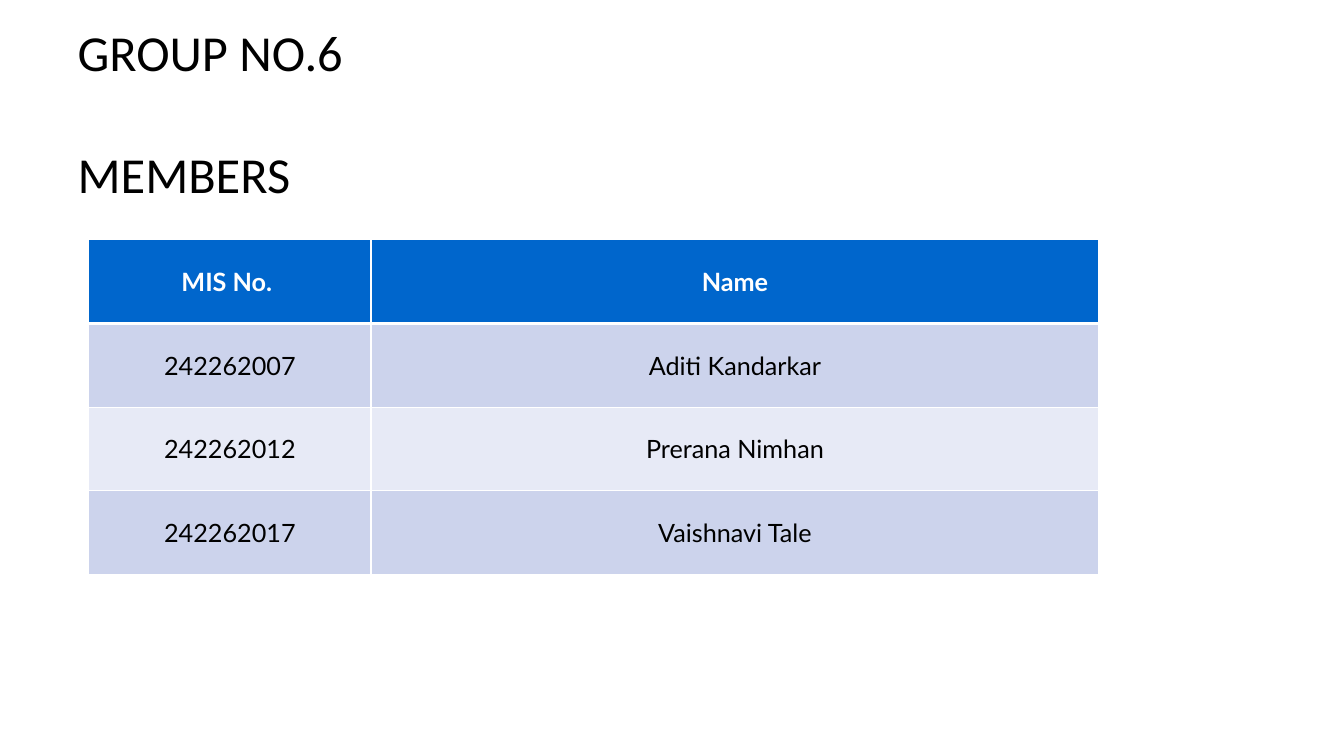
from lxml import etree
from pptx import Presentation
from pptx.dml.color import RGBColor
from pptx.enum.text import MSO_ANCHOR, MSO_AUTO_SIZE, PP_ALIGN
from pptx.oxml.ns import qn
from pptx.util import Pt

PX = 9144  # EMU per px, 100 px to the inch
LEFT, CENTER = PP_ALIGN.LEFT, PP_ALIGN.CENTER
MIDDLE = MSO_ANCHOR.MIDDLE
NO_AUTOFIT = MSO_AUTO_SIZE.NONE

BLACK = RGBColor(0x00, 0x00, 0x00)
WHITE = RGBColor(0xFF, 0xFF, 0xFF)
HEADER_BLUE = RGBColor(0x00, 0x66, 0xCC)
BAND_DARK = RGBColor(0xCC, 0xD3, 0xEC)
BAND_LIGHT = RGBColor(0xE7, 0xEA, 0xF6)

HEADING_LINES = ["GROUP NO.6", "MEMBERS"]
MEMBERS = [
    ("MIS No. ", "Name"),
    ("242262007", "Aditi Kandarkar"),
    ("242262012", "Prerana Nimhan"),
    ("242262017", "Vaishnavi Tale"),
]
COLUMN_WIDTHS = [280, 722]
ROW_HEIGHT = 83


def format_font(font, **values):
    color = values.pop("color")
    for name, value in values.items():
        setattr(font, name, value)
    font.color.rgb = color


def add_border(cell, side, points):
    # Borders go ahead of the fill, in the order they are added
    properties = cell._tc.get_or_add_tcPr()
    line = etree.SubElement(properties, qn(f"a:{side}"), w=str(Pt(points)))
    fill = etree.SubElement(line, qn("a:solidFill"))
    etree.SubElement(fill, qn("a:srgbClr"), val=str(WHITE))


prs = Presentation()
prs.slide_width, prs.slide_height = 1333 * PX, 750 * PX
slide = prs.slides.add_slide(prs.slide_layouts[5])

# Heading
heading = slide.shapes.title
heading.left, heading.top = 67 * PX, 79 * PX
heading.width, heading.height = 1200 * PX, 64 * PX
heading_text = heading.text_frame
heading_text.text = "\n".join(HEADING_LINES)
heading_text.auto_size = NO_AUTOFIT
heading_text.vertical_anchor = MIDDLE
for paragraph in heading_text.paragraphs:
    paragraph.alignment = LEFT
    paragraph.space_before = Pt(0)
    format_font(paragraph.runs[0].font, name="Calibri", size=Pt(36), color=BLACK)
heading_text.paragraphs[1].space_before = Pt(44)

# Members table
members = slide.shapes.add_table(
    len(MEMBERS), len(COLUMN_WIDTHS), 88 * PX, 238 * PX,
    sum(COLUMN_WIDTHS) * PX, len(MEMBERS) * ROW_HEIGHT * PX,
).table
for column, width in zip(members.columns, COLUMN_WIDTHS):
    column.width = width * PX

for row, entries in enumerate(MEMBERS):
    is_header = row == 0
    band = HEADER_BLUE if is_header else BAND_DARK if row % 2 else BAND_LIGHT
    borders = {
        "lnL": 1,
        "lnR": 1,
        "lnT": 3 if row == 1 else 1,
        "lnB": 3 if is_header else 1,
    }
    for col, entry in enumerate(entries):
        cell = members.cell(row, col)
        for side, points in borders.items():
            add_border(cell, side, points)
        cell.fill.solid()
        cell.fill.fore_color.rgb = band
        cell.vertical_anchor = MIDDLE
        cell.text = entry
        paragraph = cell.text_frame.paragraphs[0]
        paragraph.alignment = CENTER
        format_font(paragraph.runs[0].font, name="Lato", size=Pt(18),
                    bold=is_header, color=WHITE if is_header else BLACK)

prs.save("out.pptx")
